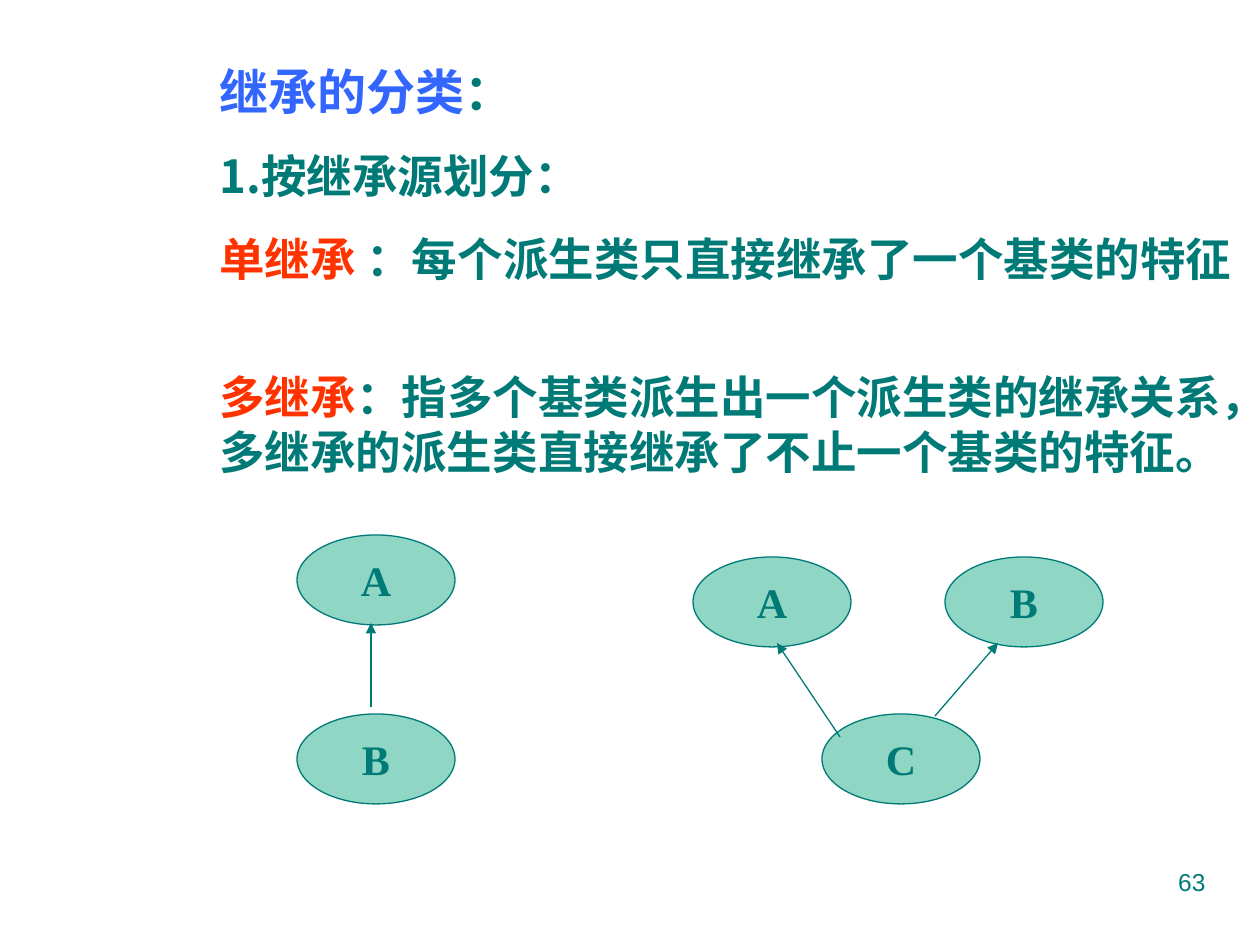
"""Build the slide on kinds of inheritance, with two class diagrams."""
from pptx import Presentation
from pptx.dml.color import RGBColor
from pptx.enum.shapes import MSO_CONNECTOR as Link, MSO_SHAPE as Shape
from pptx.enum.text import MSO_ANCHOR as Anchor, PP_ALIGN as Align
from pptx.oxml.ns import qn
from pptx.oxml.xmlchemy import OxmlElement
from pptx.util import Pt

TEAL = RGBColor(0x00, 0x7A, 0x77)
BLUE = RGBColor(0x33, 0x66, 0xFF)
RED = RGBColor(0xFF, 0x33, 0x00)
MINT = RGBColor(0x90, 0xD6, 0xC4)
CJK, SERIF, SANS = "Noto Sans CJK SC", "Times New Roman", "Arial"
SCALE = 914400 / 126
OVAL_SIZE = (158, 90)

# size, space before, space after, coloured spans
LINES = [
    (28, 17.5, 0, [("继承的分类", BLUE), ("：", TEAL)]),
    (26, 16.2, 0, [("1.按继承源划分：", TEAL)]),
    (26, 16.2, 31.4, [("单继承", RED), (" ：每个派生类只直接继承了一个基类的特征", TEAL)]),
    (26, 16.2, 0, [("多继承", RED),
                   ("：指多个基类派生出一个派生类的继承关系，"
                    "多继承的派生类直接继承了不止一个基类的特征。", TEAL)]),
]
# class ovals (name, left, top), arrows (from x, y, to x, y)
DIAGRAMS = [
    ([("A", 297, 535), ("B", 297, 714)], [(371, 707, 371, 623)]),
    ([("C", 822, 714), ("B", 945, 557), ("A", 693, 557)],
     [(840, 737, 777, 643), (935, 716, 998, 643)]),
]


def px(*values):
    return [round(value * SCALE) for value in values]


def style(para, face, size, bold=False, color=TEAL):
    font = para.font
    font.name, font.size, font.bold = face, Pt(size), bold
    font.color.rgb = color


def add_box(page, *place):
    box = page.shapes.add_textbox(*px(*place))
    box.text_frame.word_wrap = True
    return box.text_frame


def add_lines(page):
    frame = add_box(page, 207, 55, 1053, 513)
    for index, (size, before, after, spans) in enumerate(LINES):
        para = frame.add_paragraph() if index else frame.paragraphs[0]
        style(para, CJK, size, True)
        para.space_before, para.space_after = Pt(before), Pt(after)
        for text, color in spans:
            span = para.add_run()
            span.text = text
            span.font.color.rgb = color
            east = OxmlElement("a:ea")
            east.set("typeface", CJK)
            span.font.name = CJK
            span._r.get_or_add_rPr().find(qn("a:latin")).addnext(east)


def add_oval(group, name, left, top):
    oval = group.shapes.add_shape(Shape.OVAL, *px(left, top, *OVAL_SIZE))
    oval.shadow.inherit = False
    oval.fill.solid()
    oval.fill.fore_color.rgb = MINT
    oval.line.color.rgb, oval.line.width = TEAL, Pt(0.75)
    frame = oval.text_frame
    frame.vertical_anchor = Anchor.MIDDLE
    para = frame.paragraphs[0]
    para.alignment, para.space_before = Align.CENTER, Pt(15)
    style(para, SERIF, 24, True)
    span = para.add_run()
    span.text = name
    span.font.color.rgb = TEAL


def add_arrow(group, *ends):
    arrow = group.shapes.add_connector(Link.STRAIGHT, *px(*ends))
    arrow.line.color.rgb, arrow.line.width = TEAL, Pt(0.75)
    head = OxmlElement("a:tailEnd")
    head.set("type", "triangle")
    arrow.line._get_or_add_ln().append(head)
    arrow._element.spPr.append(OxmlElement("a:effectLst"))


def main():
    deck = Presentation()
    deck.slide_width, deck.slide_height = px(1260, 945)
    page = deck.slides.add_slide(deck.slide_layouts[6])
    number = add_box(page, 903, 861, 315, 66).paragraphs[0]
    number.text, number.alignment = "63", Align.RIGHT
    style(number, SANS, 14)
    add_lines(page)
    for ovals, arrows in DIAGRAMS:
        group = page.shapes.add_group_shape()
        for oval in ovals:
            add_oval(group, *oval)
        for arrow in arrows:
            add_arrow(group, *arrow)
    deck.save("out.pptx")


if __name__ == "__main__":
    main()
